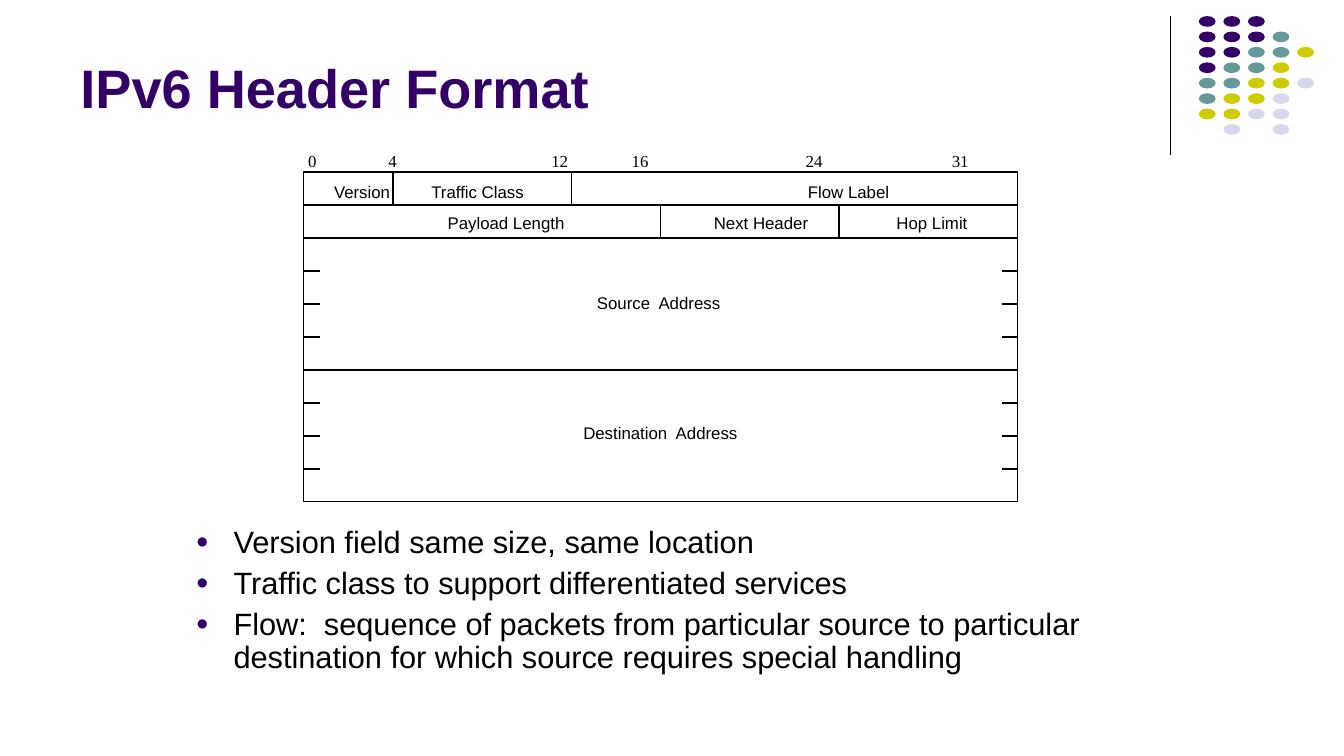
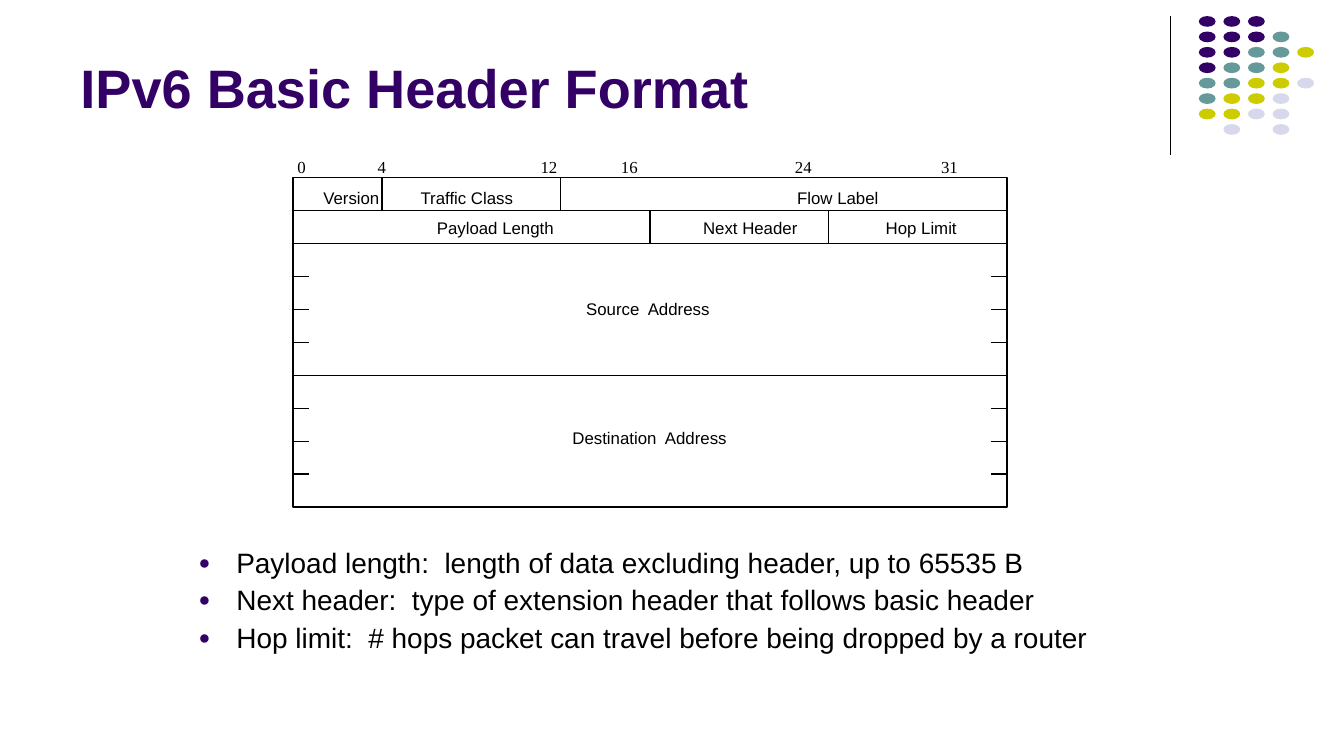
from dataclasses import dataclass

from lxml.etree import SubElement
from pptx import Presentation
from pptx.dml.color import RGBColor as Rgb
from pptx.enum.shapes import MSO_CONNECTOR as Connector, MSO_SHAPE as Shape
from pptx.enum.text import MSO_ANCHOR as Anchor
from pptx.oxml.ns import qn
from pptx.util import Inches, Pt


@dataclass(frozen=True)
class Theme:
    purple: str = "330066"
    teal: str = "669999"
    olive: str = "CCCC00"
    lilac: str = "D8D8EC"
    black: str = "000000"
    sans: str = "Arial"
    serif: str = "Times New Roman"
    title_size: float = 29
    label_size: float = 9
    rule_width: float = 0.75
    frame_width: float = 0.88


THEME = Theme()
WIDTH, HEIGHT = Inches(10), Inches(5.625)

# Dot pattern of the corner, one letter per dot
DOT_ROWS = ["PPP", "PPPT", "PPTTY", "PTTY", "TTYYL", "TYYL", "YYLL", " L L"]
DOT_COLOURS = {"P": THEME.purple, "T": THEME.teal,
               "Y": THEME.olive, "L": THEME.lilac}

# Header diagram: 32 bit columns by 10 rows, in percent of the slide
BITS, ROWS = 32, 10
BIT_WIDTH, ROW_HEIGHT = 1.66, 4.36
TICK_BITS = 0.72
DIVIDER_ROWS = (1, 2, 6)
TICK_ROWS = (3, 4, 5, 7, 8, 9)
FIELD_EDGES = [(4, 0), (12, 0), (16, 1), (24, 1)]  # bit, row
FIELDS = [  # text, bit, row, width in bits
    ("Version", 1.36, 0.29, 2.6),
    ("Traffic Class", 5.72, 0.29, 4.3),
    ("Flow Label", 22.6, 0.29, 3.8),
    ("Payload Length", 6.45, 1.22, 5.4),
    ("Next Header", 18.38, 1.22, 4.4),
    ("Hop Limit", 26.57, 1.22, 3.4),
    ("Source  Address", 13.14, 3.67, 5.7),
    ("Destination  Address", 12.53, 7.59, 7.1),
]
BIT_NUMBERS = [("0", 0.2), ("4", 3.8), ("12", 11.1),
               ("16", 14.7), ("24", 22.5), ("31", 29.05)]

PAGES = [
    {
        "title": "IPv6 Header Format",
        "frame": (22.6, 22.76),
        "body": (13.6, 68.8, 71.1, 21.5),
        "size": 16.5,
        "points": [
            "Version field same size, same location",
            "Traffic class to support differentiated services",
            "Flow:  sequence of packets from particular source to particular "
            "destination for which source requires special handling",
        ],
    },
    {
        "title": "IPv6 Basic Header Format",
        "frame": (21.8, 23.5),
        "body": (13.8, 71.82, 71.1, 15.5),
        "size": 15,
        "points": [
            "Payload length:  length of data excluding header, up to 65535 B",
            "Next header:  type of extension header that follows basic header",
            "Hop limit:  # hops packet can travel before being dropped by a router",
        ],
    },
]


def across(percent):
    return round(WIDTH * percent / 100)


def down(percent):
    return round(HEIGHT * percent / 100)


def area(left, top, width, height):
    return across(left), down(top), across(width), down(height)


def apply(target, values):
    for name, value in values.items():
        setattr(target, name, value)


def add_span(para, text, size, colour=THEME.black, font=THEME.sans, bold=False):
    span = para.add_run()
    span.text = text
    apply(span.font, {"size": Pt(size), "name": font, "bold": bold})
    span.font.color.rgb = Rgb.from_string(colour)


def add_box(page, place, **frame_values):
    box = page.shapes.add_textbox(*area(*place))
    apply(box.text_frame, {"word_wrap": True, **frame_values})
    return box.text_frame


def add_line(page, start, end, width=THEME.frame_width):
    line = page.shapes.add_connector(
        Connector.STRAIGHT, across(start[0]), down(start[1]),
        across(end[0]), down(end[1]))
    line.line.color.rgb = Rgb.from_string(THEME.black)
    line.line.width = Pt(width)
    SubElement(line._element.spPr, qn("a:effectLst"))
    return line


def add_corner(page):
    add_line(page, (87.1, 2.13), (87.1, 20.44), THEME.rule_width)
    for row, letters in enumerate(DOT_ROWS):
        for column, letter in enumerate(letters):
            if letter == " ":
                continue
            dot = page.shapes.add_shape(Shape.OVAL, *area(
                89.2 + column * 1.83, 2.13 + row * 2.04, 1.25, 1.42))
            dot.shadow.inherit = False
            dot.fill.solid()
            dot.fill.fore_color.rgb = Rgb.from_string(DOT_COLOURS[letter])
            dot.line.fill.background()


def add_title(page, text):
    frame = add_box(page, (5, 1.78, 82.5, 14.93), vertical_anchor=Anchor.BOTTOM)
    add_span(frame.paragraphs[0], text, THEME.title_size, THEME.purple, bold=True)


def add_bullet(para):
    props = para._p.get_or_add_pPr()
    apply_indent = {"marL": Inches(0.28), "indent": -Inches(0.28)}
    for name, value in apply_indent.items():
        props.set(name, str(value))
    colour = SubElement(props, qn("a:buClr"))
    SubElement(colour, qn("a:srgbClr"), val=THEME.purple)
    SubElement(props, qn("a:buSzPct"), val="70000")
    SubElement(props, qn("a:buFont"), typeface=THEME.sans)
    SubElement(props, qn("a:buChar"), char="●")


def add_points(page, place, points, size):
    frame = add_box(page, place)
    for index, text in enumerate(points):
        para = frame.add_paragraph() if index else frame.paragraphs[0]
        add_bullet(para)
        apply(para, {"line_spacing": 0.9,
                     "space_before": Pt(size / 4 if index else 0)})
        add_span(para, text, size)


def add_header_diagram(page, left, top):
    def spot(bit, row):
        return left + bit * BIT_WIDTH, top + row * ROW_HEIGHT

    def add_label(text, bit, row, bits, font=THEME.sans):
        frame = add_box(
            page, (*spot(bit, row), bits * BIT_WIDTH, 2.67), word_wrap=False,
            margin_left=0, margin_top=0, margin_right=0, margin_bottom=0)
        add_span(frame.paragraphs[0], text, THEME.label_size, font=font)

    # Outer frame
    outline = page.shapes.add_shape(Shape.RECTANGLE, *area(
        left, top, BITS * BIT_WIDTH, ROWS * ROW_HEIGHT))
    outline.shadow.inherit = False
    outline.fill.background()
    outline.line.color.rgb = Rgb.from_string(THEME.black)
    outline.line.width = Pt(THEME.frame_width)

    # Dividers between fields, and ticks at each 32-bit word
    for row in DIVIDER_ROWS:
        add_line(page, spot(0, row), spot(BITS, row))
    for bit, row in FIELD_EDGES:
        add_line(page, spot(bit, row + 1), spot(bit, row))
    for row in TICK_ROWS:
        left_tick = add_line(page, spot(0, row), spot(TICK_BITS, row))
        right_tick = add_line(page, spot(BITS - TICK_BITS, row), spot(BITS, row))
        if row == ROWS / 2:
            left_tick.begin_connect(outline, 1)
            right_tick.end_connect(outline, 3)

    # Field names and bit numbers
    for field in FIELDS:
        add_label(*field)
    for number, bit in BIT_NUMBERS:
        add_label(number, bit, -0.65, 1.2, THEME.serif)


def main():
    deck = Presentation()
    apply(deck, {"slide_width": WIDTH, "slide_height": HEIGHT})
    for content in PAGES:
        page = deck.slides.add_slide(deck.slide_layouts[6])
        add_corner(page)
        add_title(page, content["title"])
        add_points(page, content["body"], content["points"], content["size"])
        add_header_diagram(page, *content["frame"])
    deck.save("out.pptx")


if __name__ == "__main__":
    main()
